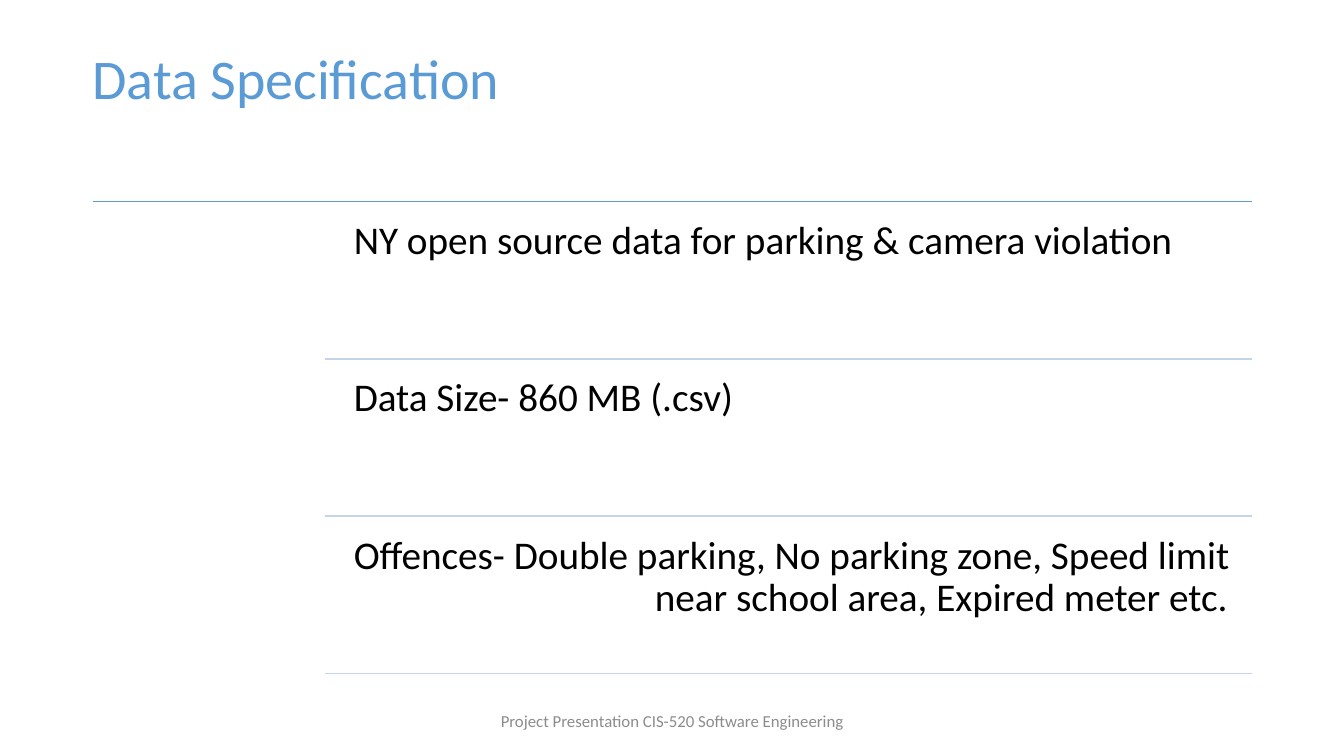
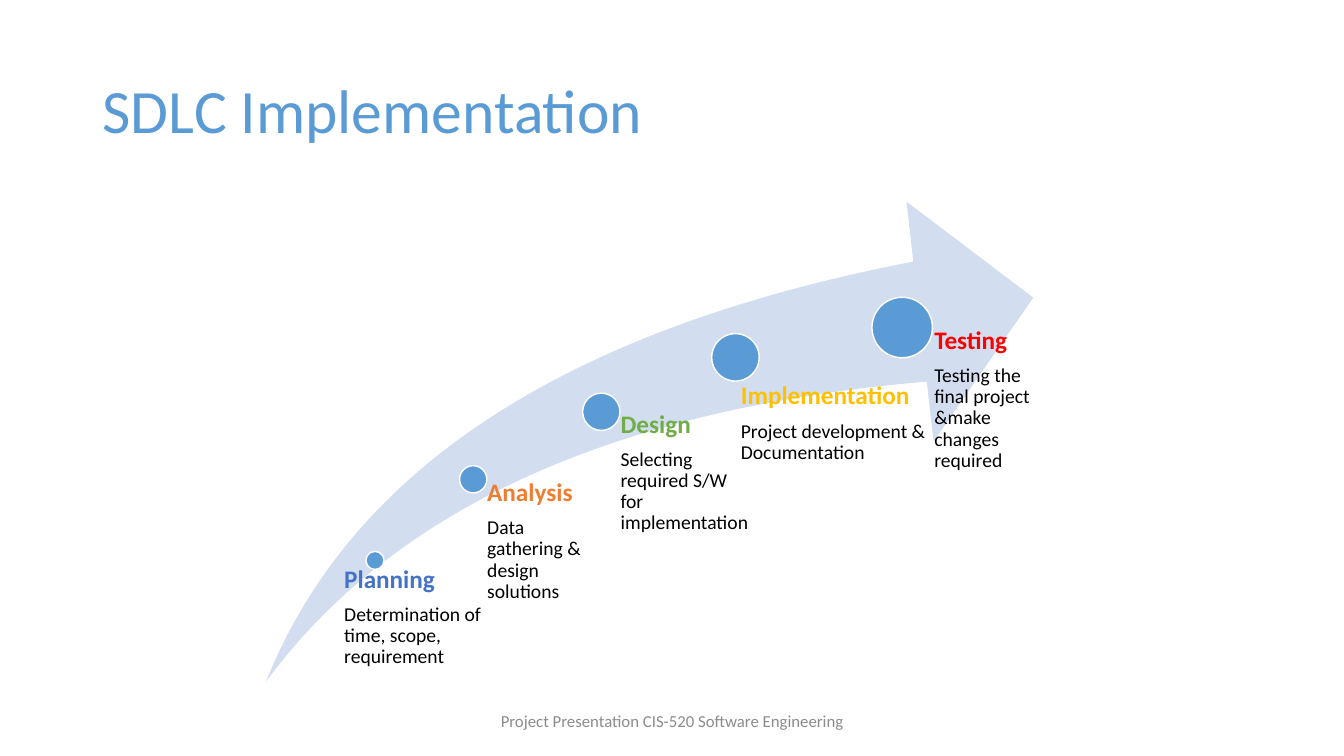
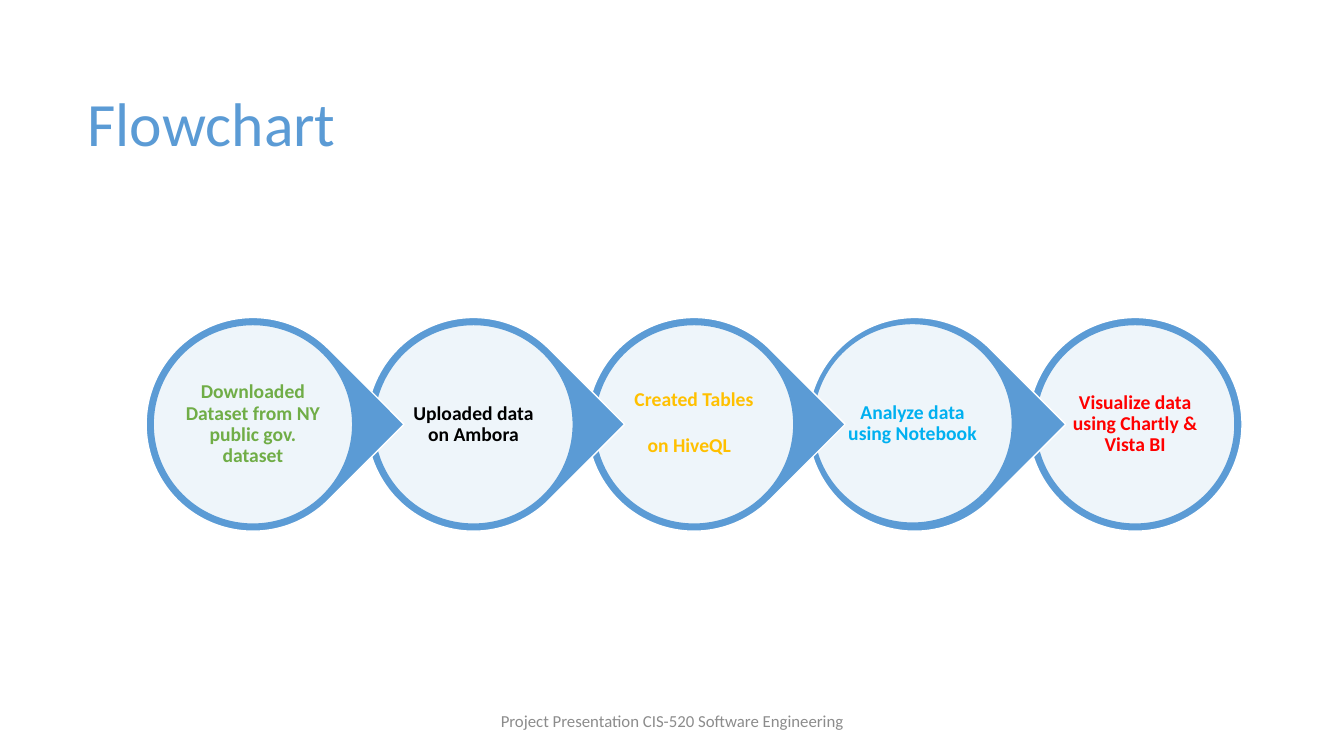
import lxml.etree
import pptx
import pptx.dml.color
import pptx.enum.shapes
import pptx.enum.text
import pptx.oxml.ns
import pptx.util

SHAPE = pptx.enum.shapes.MSO_SHAPE
ALIGN = pptx.enum.text.PP_ALIGN
ANCHOR = pptx.enum.text.MSO_ANCHOR
qn = pptx.oxml.ns.qn

FONT = "Calibri"
BLUE, PALE_BLUE, RULE_BLUE = "5B9BD5", "D2DEEF", "C4D5EB"
WHITE, BLACK, GREY = "FFFFFF", "000000", "8C8C8C"
GREEN, AMBER, RED = "70AD47", "FFC000", "FF0000"
FOOTER = "Project Presentation CIS-520 Software Engineering"

WIDTH = pptx.util.Inches(13.333)
HEIGHT = pptx.util.Inches(7.5)
MARGIN_X, MARGIN_Y = 0.1, 0.05  # text insets in inches


def across(share):
    """Length for a percentage of the slide's width."""
    return pptx.util.Emu(round(WIDTH * share / 100))


def down(share):
    """Length for a percentage of the slide's height."""
    return pptx.util.Emu(round(HEIGHT * share / 100))


def place(left, top, width, height):
    return across(left), down(top), across(width), down(height)


def around(center_x, center_y, size):
    """Square of the given share of the width, around a centre point."""
    height = size * WIDTH / HEIGHT
    return place(center_x - size / 2, center_y - height / 2, size, height)


def rgb(color):
    return pptx.dml.color.RGBColor.from_string(color)


def style_span(span, size, color, bold=False):
    span.font.name = FONT
    span.font.size = pptx.util.Pt(size)
    span.font.bold = bold
    span.font.color.rgb = rgb(color)


def add_text(page, area, lines, align=ALIGN.LEFT, anchor=ANCHOR.TOP, spacing=0.9,
             after=0, insets=(MARGIN_X, MARGIN_Y, MARGIN_X, MARGIN_Y)):
    """Text box with one paragraph for each (text, size, color, bold) line."""
    box = page.shapes.add_textbox(*area)
    frame = box.text_frame
    frame.word_wrap = True
    frame.vertical_anchor = anchor
    (frame.margin_left, frame.margin_top,
     frame.margin_right, frame.margin_bottom) = map(pptx.util.Inches, insets)
    frame.text = "\n".join(line[0] for line in lines)
    for para, (_, size, color, bold) in zip(frame.paragraphs, lines):
        para.alignment = align
        para.line_spacing = spacing
        para.space_after = pptx.util.Pt(after)
        style_span(para.runs[0], size, color, bold)
    return box


def add_figure(page, kind, area, fill, line=None, opacity=None):
    figure = page.shapes.add_shape(kind, *area)
    figure.shadow.inherit = False
    figure.fill.solid()
    figure.fill.fore_color.rgb = rgb(fill)
    if opacity is not None:
        color = figure.fill._xPr.find(".//" + qn("a:srgbClr"))
        lxml.etree.SubElement(color, qn("a:alpha"), val=str(opacity * 1000))
    if line:
        figure.line.color.rgb = rgb(line)
        figure.line.width = pptx.util.Pt(1)
    else:
        figure.line.fill.background()
    return figure


def add_rule(page, left, right, top, color):
    rule = page.shapes.add_connector(
        pptx.enum.shapes.MSO_CONNECTOR.STRAIGHT,
        across(left), down(top), across(right), down(top))
    rule.line.color.rgb = rgb(color)
    rule.line.width = pptx.util.Pt(1)
    properties = rule._element.find(qn("p:spPr"))
    lxml.etree.SubElement(properties, qn("a:effectLst"))


def add_page(deck, title, area, size=44, anchor=ANCHOR.MIDDLE, spacing=0.9):
    """Blank page with the shared title style and footer."""
    page = deck.slides.add_slide(deck.slide_layouts[6])
    add_text(page, place(*area), [(title, size, BLUE, False)],
             anchor=anchor, spacing=spacing)
    add_text(page, place(33.15, 92.67, 33.75, 5.33), [(FOOTER, 12, GREY, False)],
             ALIGN.CENTER, ANCHOR.MIDDLE, spacing=1)
    return page


def build_data(deck):
    page = add_page(deck, "Data Specification", (6.15, 5.07, 76.95, 10.27),
                    size=40, anchor=ANCHOR.TOP, spacing=1)
    facts = [
        ["NY open source data for parking & camera violation"],
        ["Data Size- 860 MB (.csv)"],
        ["Offences- Double parking, No parking zone, Speed limit",
         "near school area, Expired meter etc."],
    ]
    top, row, right = 26.67, 20.8, 93.15
    add_rule(page, 6.9, right, top, BLUE)
    for index, fact in enumerate(facts):
        row_top = top + index * row
        box = add_text(page, place(25.42, row_top + 0.93, 67.73, row - 0.93),
                       [(text, 28, BLACK, False) for text in fact],
                       insets=(0.12,) * 4)
        for para in box.text_frame.paragraphs[1:]:
            para._p.get_or_add_pPr().set("marL", str(across(22.4)))
        add_rule(page, 24.15, right, row_top + row, RULE_BLUE)


def build_phases(deck):
    page = add_page(deck, "SDLC Implementation", (6.9, 5.33, 86.25, 19.33))
    arrow = add_figure(page, SHAPE.SWOOSH_ARROW,
                       place(19.8, 26.67, 57.08, 63.47), PALE_BLUE)
    arrow.adjustments[0] = arrow.adjustments[1] = 0.25
    # name, detail, color, dot centre and size, text area
    phases = [
        ("Planning", "Determination of time, scope, requirement", "4472C4",
         (27.9, 74.13, 1.35), (24.9, 74.93, 13.2, 15.07)),
        ("Analysis", "Data gathering & design solutions", "ED7D31",
         (35.21, 63.4, 2.03), (35.18, 63.47, 9.45, 26.53)),
        ("Design", "Selecting required S/W for implementation", GREEN,
         (44.74, 54.47, 2.78), (44.7, 54.4, 11.03, 35.6)),
        ("Implementation", "Project development & Documentation", AMBER,
         (54.72, 47.27, 3.53), (53.25, 50.67, 16.28, 36.27)),
        ("Testing", "Testing the final project &make changes required", RED,
         (67.13, 43.33, 4.5), (67.13, 43.33, 11.4, 46.67)),
    ]
    for name, detail, color, dot, area in phases:
        add_figure(page, SHAPE.OVAL, around(*dot), BLUE, WHITE)
        inset = across(dot[2]).inches * 0.53
        add_text(page, place(*area),
                 [(name, 18, color, True), (detail, 14, BLACK, False)],
                 after=7.7, insets=(inset, 0, 0, 0))


def build_flow(deck):
    page = add_page(deck, "Flowchart", (5.78, 9.73, 86.25, 14))
    # text, color, line spacing, shift of the disc
    steps = [
        ("Downloaded Dataset from NY public gov. dataset", GREEN, 0.9, (0, 0)),
        ("Uploaded data on Ambora", BLACK, 0.9, (0, 0)),
        ("Created Tables on HiveQL", AMBER, 1, (0, 0)),
        ("Analyze data using Notebook", "00B0F0", 0.9, (-0.15, -0.13)),
        ("Visualize data using Chartly & Vista BI", RED, 0.9, (0, 0)),
    ]
    last = len(steps) - 1
    for index in range(last, -1, -1):
        text, color, spacing, (shift_x, shift_y) = steps[index]
        x, y = 18.82 + index * 16.41, 56.13
        outer = add_figure(page, SHAPE.OVAL if index == last else SHAPE.TEAR,
                           around(x, y, 15.9), BLUE, WHITE)
        if index < last:
            outer.rotation = 45
        x, y = x + shift_x, y + shift_y
        add_figure(page, SHAPE.OVAL, around(x, y, 14.85), WHITE, BLUE, opacity=90)
        box = add_text(page, around(x, y, 10.58), [(text, 14, color, True)],
                       ALIGN.CENTER, ANCHOR.MIDDLE, spacing, insets=(0.02,) * 4)
        if spacing == 1:
            # a tall trailing space opens up the last line
            span = box.text_frame.paragraphs[0].add_run()
            span.text = " "
            style_span(span, 30, color, True)


def main():
    deck = pptx.Presentation()
    deck.slide_width, deck.slide_height = WIDTH, HEIGHT
    build_data(deck)
    build_phases(deck)
    build_flow(deck)
    deck.save("out.pptx")


if __name__ == "__main__":
    main()
